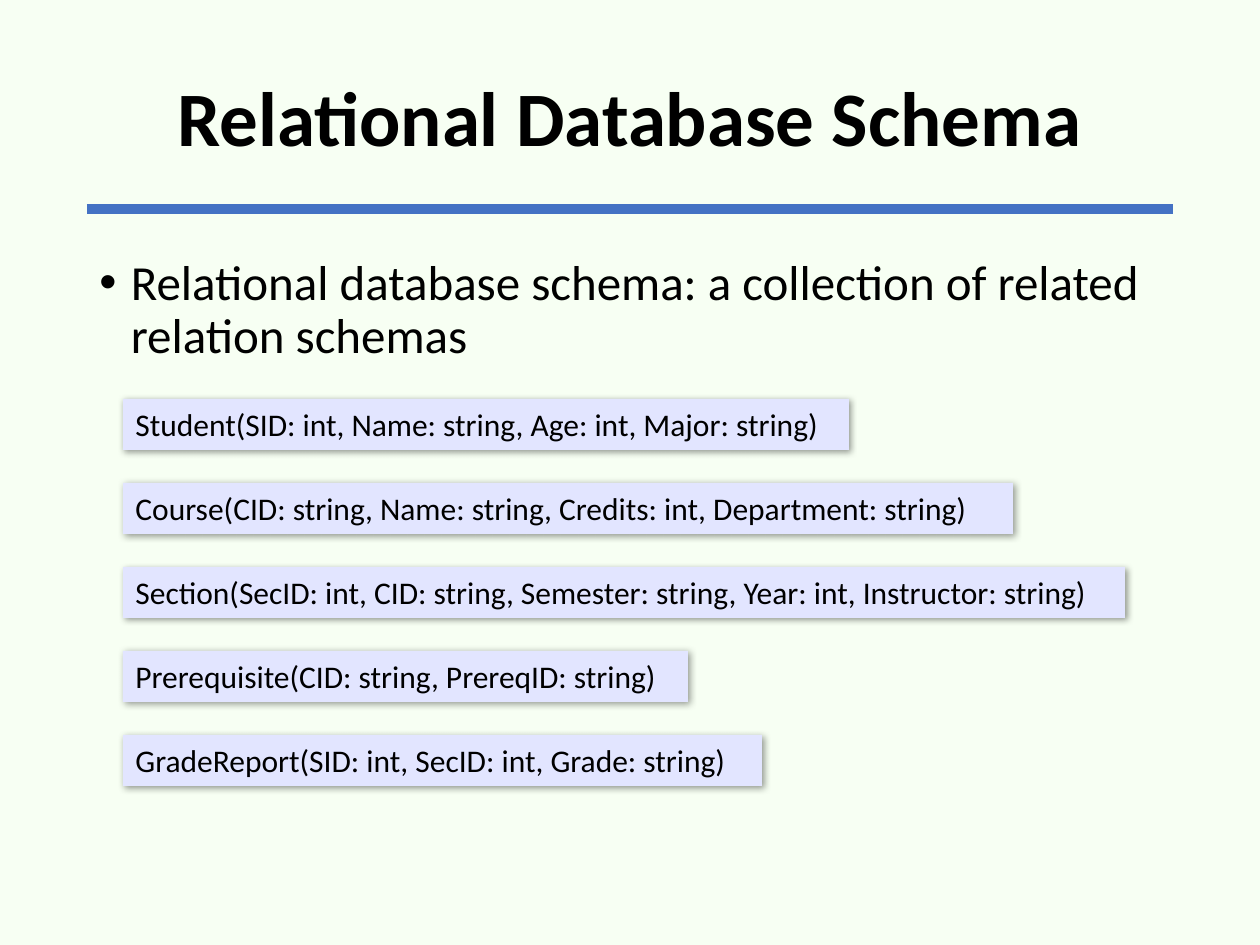
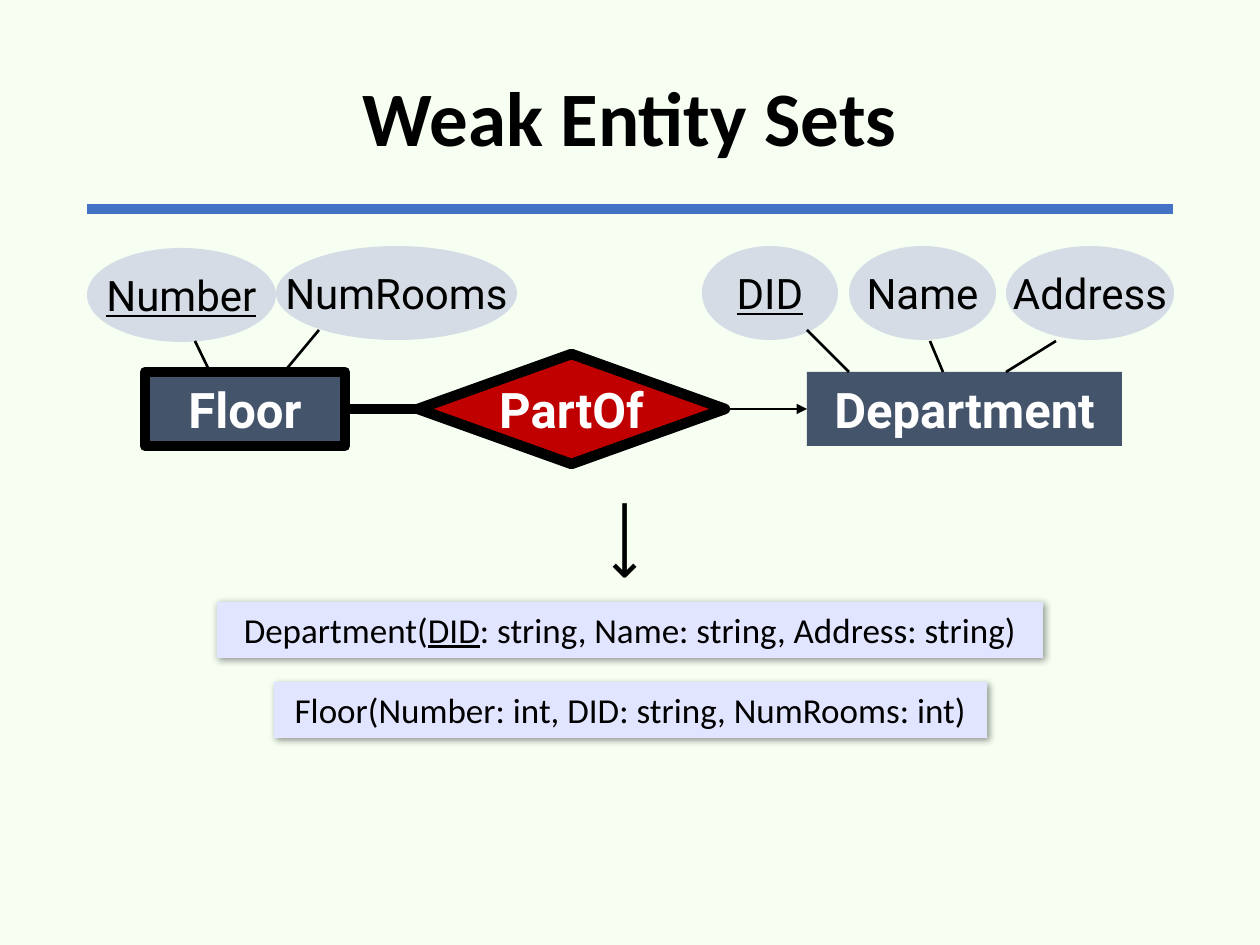
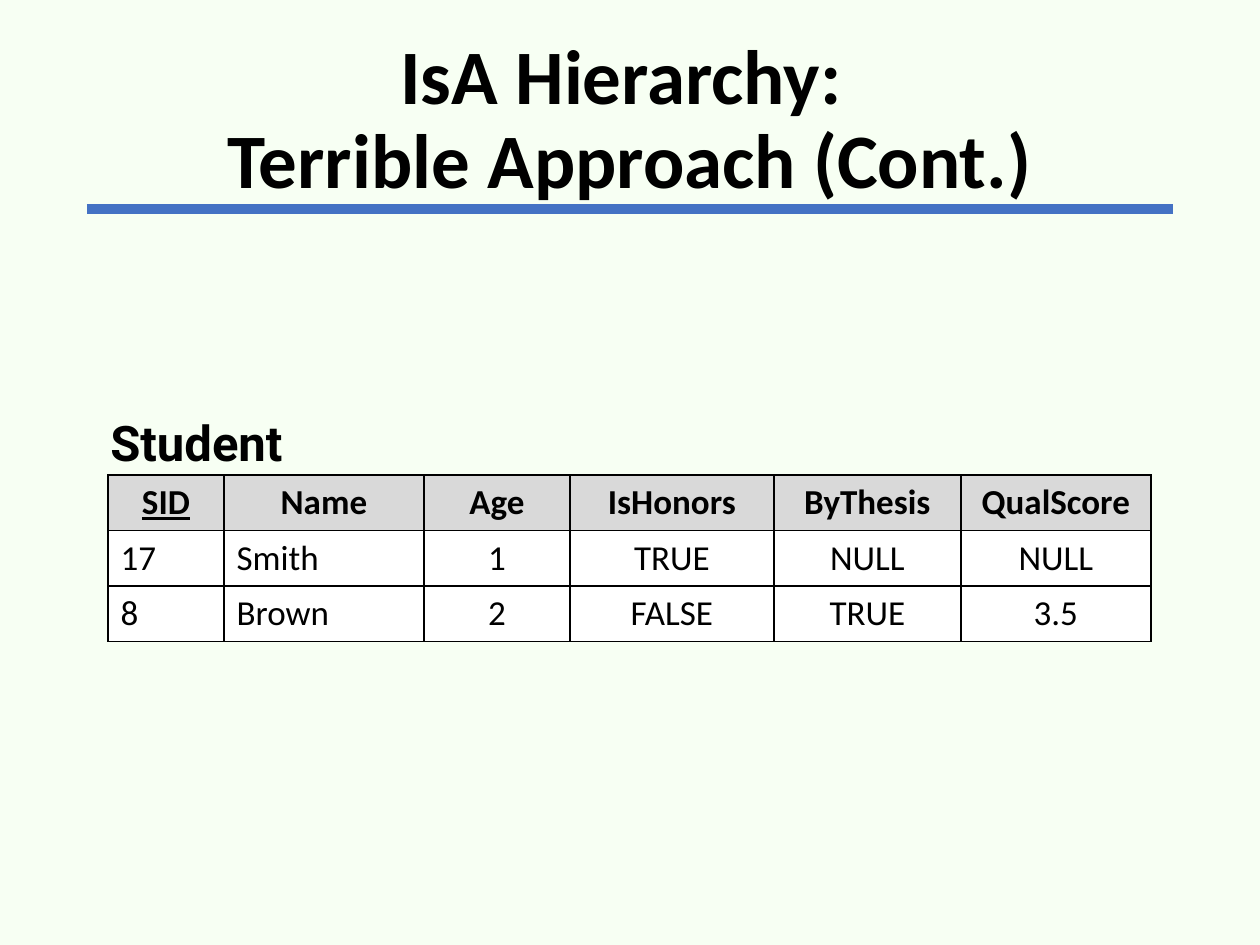
from lxml import etree
from pptx import Presentation
from pptx.dml import color
from pptx.enum import shapes, text
from pptx.oxml import ns
from pptx.util import Emu, Pt

EMU_PER_PX = 914400 / 126
BLACK, WHITE = "000000", "FFFFFF"
BACKGROUND, RULE = "F7FFF3", "4472C4"
SCHEMA_FILL, ENTITY_FILL = "E2E5FF", "44546A"
ATTRIBUTE_FILL, RELATIONSHIP_FILL = "D6DCE5", "C00000"
HEADER_FILL = "D9D9D9"
BODY_FONT, DIAGRAM_FONT = "Calibri", "Roboto"
LEFT, CENTER = text.PP_ALIGN.LEFT, text.PP_ALIGN.CENTER
TOP, MIDDLE = text.MSO_ANCHOR.TOP, text.MSO_ANCHOR.MIDDLE
PRESETS = shapes.MSO_SHAPE


def px(value):
    return Emu(round(value * EMU_PER_PX))


def box(*values):
    return [px(value) for value in values]


def rgb(value):
    return color.RGBColor.from_string(value)


def add_child(parent, tag, **attributes):
    return etree.SubElement(parent, ns.qn(tag), attributes)


def set_fill(target, value):
    target.fill.solid()
    target.fill.fore_color.rgb = rgb(value)


def set_line(line, value, width):
    line.color.rgb = rgb(value)
    line.width = Pt(width)


def add_run(paragraph, content, size, font=BODY_FONT, ink=BLACK, bold=False, underline=False):
    run = paragraph.add_run()
    run.text = content
    run.font.name = font
    run.font.size = Pt(size)
    run.font.bold = bold
    run.font.underline = underline
    run.font.color.rgb = rgb(ink)


def set_frame(frame, align=LEFT, anchor=TOP, wrap=True, grow=False):
    frame.word_wrap = wrap
    frame.vertical_anchor = anchor
    frame.auto_size = text.MSO_AUTO_SIZE.SHAPE_TO_FIT_TEXT if grow else text.MSO_AUTO_SIZE.NONE
    paragraph = frame.paragraphs[0]
    paragraph.alignment = align
    return paragraph


def add_line(slide, start, end, width=1.5, ink=BLACK, arrow=False):
    line = slide.shapes.add_connector(shapes.MSO_CONNECTOR.STRAIGHT, *box(*start, *end))
    set_line(line.line, ink, width)
    if arrow:
        add_child(line.line._get_or_add_ln(), "a:tailEnd", type="triangle")
    add_child(line._element.spPr, "a:effectLst")
    return line


def join(slide, source, target, width, arrow=False):
    line = add_line(slide, (0, 0), (0, 0), width, arrow=arrow)
    line.begin_connect(source, 3)
    line.end_connect(target, 1)


def add_titled_slide(presentation, *lines):
    slide = presentation.slides.add_slide(presentation.slide_layouts[5])
    title = slide.shapes.title
    title.left, title.top, title.width, title.height = box(87, 30, 1086, 183)
    paragraph = set_frame(title.text_frame, CENTER, MIDDLE)
    paragraph.line_spacing = 0.9
    for index, line in enumerate(lines):
        if index:
            paragraph.add_line_break()
        add_run(paragraph, line, 44, bold=True)
    add_line(slide, (87, 209), (1173, 209), 6, RULE)
    return slide


def add_shape(slide, preset, place, fill):
    shape = slide.shapes.add_shape(preset, *box(*place))
    shape.shadow.inherit = False
    set_fill(shape, fill)
    shape.line.fill.background()
    return shape


def add_schema(slide, place, runs, size, align=LEFT):
    shape = add_shape(slide, PRESETS.RECTANGLE, place, SCHEMA_FILL)
    effects = shape._element.spPr.find(ns.qn("a:effectLst"))
    shadow = add_child(effects, "a:outerShdw", blurRad="50800", dist="12700",
                       dir="2700000", algn="tl", rotWithShape="0")
    shadow_color = add_child(shadow, "a:srgbClr", val=BLACK)
    add_child(shadow_color, "a:alpha", val="40000")
    paragraph = set_frame(shape.text_frame, align, grow=True)
    for content, underline in runs:
        add_run(paragraph, content, size, underline=underline)


def add_node(slide, preset, place, label, fill, outlined=False):
    shape = add_shape(slide, preset, place, fill)
    if outlined:
        set_line(shape.line, BLACK, 6)
    paragraph = set_frame(shape.text_frame, CENTER, MIDDLE, wrap=False)
    add_run(paragraph, label, 28, DIAGRAM_FONT, WHITE, bold=True)
    return shape


def add_attribute(slide, left, top, width, label, is_key, line_start, line_end):
    shape = add_shape(slide, PRESETS.OVAL, (left, top, width, 94), ATTRIBUTE_FILL)
    paragraph = set_frame(shape.text_frame, CENTER, MIDDLE, wrap=False)
    add_run(paragraph, label, 24, DIAGRAM_FONT, underline=is_key)
    add_line(slide, line_start, line_end)


def add_label(slide, place, content, size, bold=False, wrap=True):
    label = slide.shapes.add_textbox(*box(*place))
    paragraph = set_frame(label.text_frame, wrap=wrap, grow=True)
    add_run(paragraph, content, size, DIAGRAM_FONT, bold=bold)
    return label


def add_bullet(slide, place, content):
    body = slide.shapes.add_textbox(*box(*place))
    paragraph = set_frame(body.text_frame)
    paragraph.line_spacing = 0.9
    paragraph.space_before = Pt(10)
    properties = paragraph._p.get_or_add_pPr()
    properties.set("marL", "228600")
    properties.set("indent", "-228600")
    add_child(properties, "a:buFont", typeface="Arial")
    add_child(properties, "a:buChar", char="•")
    add_run(paragraph, content, 28)


def set_borders(cell):
    properties = cell._tc.get_or_add_tcPr()
    for index, side in enumerate(("a:lnL", "a:lnR", "a:lnT", "a:lnB")):
        border = add_child(properties, side, w="12700")
        add_child(add_child(border, "a:solidFill"), "a:srgbClr", val=BLACK)
        properties.insert(index, border)


def add_records(slide, left, top, widths, row_height, rows):
    place = box(left, top, sum(widths), row_height * len(rows))
    table = slide.shapes.add_table(len(rows), len(widths), *place).table
    for column, width in zip(table.columns, widths):
        column.width = px(width)
    for row_index, row in enumerate(rows):
        is_header = row_index == 0
        for column_index, content in enumerate(row):
            cell = table.cell(row_index, column_index)
            set_fill(cell, HEADER_FILL if is_header else WHITE)
            set_borders(cell)
            paragraph = cell.text_frame.paragraphs[0]
            paragraph.alignment = CENTER if is_header or column_index > 1 else LEFT
            add_run(paragraph, content, 20, bold=is_header,
                    underline=is_header and column_index == 0)


def build_schema_slide(presentation):
    slide = add_titled_slide(presentation, "Relational Database Schema")
    add_bullet(slide, (87, 252, 1086, 600),
               "Relational database schema: a collection of related relation schemas")
    schemas = [
        (726, "Student(SID: int, Name: string, Age: int, Major: string)"),
        (890, "Course(CID: string, Name: string, Credits: int, Department: string)"),
        (1002, "Section(SecID: int, CID: string, Semester: string, Year: int, Instructor: string)"),
        (565, "Prerequisite(CID: string, PrereqID: string)"),
        (639, "GradeReport(SID: int, SecID: int, Grade: string)"),
    ]
    for index, (width, content) in enumerate(schemas):
        add_schema(slide, (123, 399 + 84 * index, width, 51), [(content, False)], 18)


def build_weak_entity_slide(presentation):
    slide = add_titled_slide(presentation, "Weak Entity Sets")
    floor = add_node(slide, PRESETS.RECTANGLE, (145, 372, 200, 74), "Floor", ENTITY_FILL, True)
    department = add_node(slide, PRESETS.RECTANGLE, (807, 372, 315, 74), "Department", ENTITY_FILL)
    part_of = add_node(slide, PRESETS.DIAMOND, (418, 354, 307, 110), "PartOf",
                       RELATIONSHIP_FILL, True)
    join(slide, floor, part_of, 6)
    join(slide, part_of, department, 1.5, arrow=True)
    attributes = [
        (87, 248, 189, "Number", True, (195, 341), (210, 372)),
        (276, 246, 241, "NumRooms", False, (319, 330), (284, 372)),
        (702, 246, 136, "DID", True, (807, 330), (849, 372)),
        (849, 246, 147, "Name", False, (930, 341), (943, 372)),
        (1006, 246, 168, "Address", False, (1056, 341), (1006, 372)),
    ]
    for attribute in attributes:
        add_attribute(slide, *attribute)
    arrow = add_label(slide, (583, 494, 93, 81), "⟶", 32)
    arrow.rotation = 90
    add_schema(slide, (217, 602, 826, 56),
               [("Department(", False), ("DID", True),
                (": string, Name: string, Address: string)", False)], 20, CENTER)
    add_schema(slide, (274, 682, 713, 56),
               [("Floor(Number: int, DID: string, NumRooms: int)", False)], 20, CENTER)


def build_hierarchy_slide(presentation):
    slide = add_titled_slide(presentation, "IsA Hierarchy: ", "Terrible Approach (Cont.)")
    add_records(slide, 108, 475, (116, 200, 146, 204, 187, 190), 55, [
        ("SID", "Name", "Age", "IsHonors", "ByThesis", "QualScore"),
        ("17", "Smith", "1", "TRUE", "NULL", "NULL"),
        ("8", "Brown", "2", "FALSE", "TRUE", "3.5"),
    ])
    add_label(slide, (98, 406, 198, 72), "Student", 28, bold=True, wrap=False)


def main():
    presentation = Presentation()
    presentation.slide_width, presentation.slide_height = box(1260, 945)
    set_fill(presentation.slide_master.background, BACKGROUND)
    build_schema_slide(presentation)
    build_weak_entity_slide(presentation)
    build_hierarchy_slide(presentation)
    presentation.save("out.pptx")


if __name__ == "__main__":
    main()
